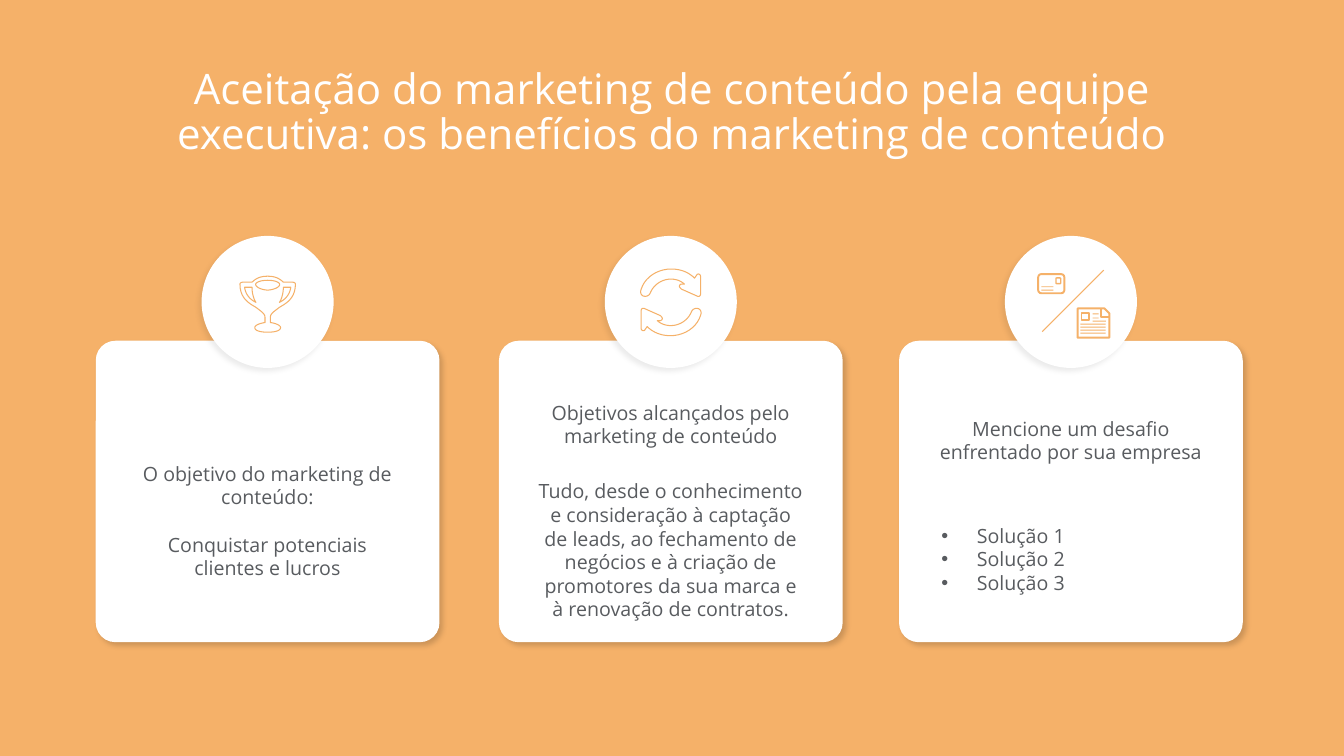
from lxml.etree import SubElement
from pptx import Presentation
from pptx.dml.color import RGBColor
from pptx.enum.shapes import MSO_CONNECTOR, MSO_SHAPE
from pptx.enum.text import MSO_ANCHOR, MSO_AUTO_SIZE, PP_ALIGN
from pptx.oxml.ns import qn
from pptx.util import Pt

ORANGE = RGBColor(0xF5, 0xB1, 0x69)
WHITE = RGBColor(0xFF, 0xFF, 0xFF)
GRAY = RGBColor(0x58, 0x5B, 0x5F)
FONT = "Open Sans"
FINE = 100

CARDS = [68.4, 356.4, 642.2]
CARD_TOP, CARD_WIDE, CARD_HIGH = 243.4, 245.5, 215.3
DISC_TOP, DISC_SIZE = 168.5, 94.3

CUP = [(0, 0), (6.1, 0, 9, 2.2, 11.2, 4.3), (17.8, 4.3),
       (19, 4.3, 19.8, 4.9, 19.8, 5.8), (19.8, 15.8, 13.3, 19.4, 8.3, 22.3),
       (4.7, 25.2, 1.9, 26.6, 1.9, 29.5), (1.9, 33.1),
       (6.6, 33.8, 9.2, 35.3, 9.2, 36.7), (9.2, 38.9, 5.5, 40, 0, 40)]
RIM = [(0, 2.9), (6.3, 2.9, 8.6, 4.9, 8.6, 5.8), (8.6, 7.2, 6.3, 9.4, 0, 10)]
HANDLE = [(8.4, 18.7), (9.9, 16.6, 11.2, 12.2, 11.2, 7.9), (16.5, 7.9),
          (15.8, 13, 12.8, 16.6, 8.4, 18.7)]
ARROW = [(-18.4, -4.3), (-16.9, -4.3, -15.5, -5, -14.8, -6.5),
         (-12.6, -12.2, -6.8, -16.6, 0, -16.6), (4, -16.6, 7.6, -15.1, 9.7, -13),
         (7.6, -13), (6.8, -13, 6.1, -12.2, 6.1, -11.5),
         (6.1, -10.8, 6.8, -10.1, 7.6, -9.4), (19.1, -4.3),
         (20.2, -4, 21.2, -4.7, 21.2, -5.8), (21.2, -18.7),
         (21.2, -20.2, 18.9, -20.9, 18.4, -19.4), (16.9, -17.3),
         (12.6, -21.6, 6.8, -23.8, 0.4, -23.8),
         (-9.7, -23.8, -18.4, -18, -21.2, -9.4),
         (-22.3, -6.5, -20.9, -4.3, -18.4, -4.3)]


def trace(steps, parts=10):
    """Turn a start point, line ends and cubic curves into a list of points."""
    points = [steps[0]]
    for step in steps[1:]:
        if len(step) == 2:
            points.append(step)
            continue
        a, b, c, d = points[-1], step[:2], step[2:4], step[4:]
        for i in range(1, parts + 1):
            t = i / parts
            u = 1 - t
            points.append(tuple(
                u**3 * a[k] + 3 * u * u * t * b[k] + 3 * u * t * t * c[k] + t**3 * d[k]
                for k in (0, 1)))
    return points


def flip(points, down=1):
    """Mirror points across the vertical axis, and the other one if down is -1."""
    return [(-x, down * y) for x, y in points]


def paint(shape, fill=None, line=None, weight=0.75):
    """Set the fill and line of a shape and drop its shadow."""
    shape.shadow.inherit = False
    if fill is None:
        shape.fill.background()
    else:
        shape.fill.solid()
        shape.fill.fore_color.rgb = fill
    if line is None:
        shape.line.fill.background()
    else:
        shape.line.color.rgb = line
        shape.line.width = Pt(weight)


def draw(shapes, x, y, loops, weight=0.75, close=True):
    """Draw loops of points as one orange outline placed at x, y."""
    loops = [[(FINE * px, FINE * py) for px, py in loop] for loop in loops]
    pen = shapes.build_freeform(*loops[0][0], scale=Pt(1) / FINE)
    for i, loop in enumerate(loops):
        if i:
            pen.move_to(*loop[0])
        pen.add_line_segments(loop[1:], close=close)
    paint(pen.convert_to_shape(Pt(x), Pt(y)), line=ORANGE, weight=weight)


def block(shapes, kind, x, y, wide, high, **look):
    """Add a preset shape with the given look."""
    shape = shapes.add_shape(kind, Pt(x), Pt(y), Pt(wide), Pt(high))
    paint(shape, **look)
    return shape


def shade(shape, alpha, angle):
    """Give a shape a soft black shadow."""
    effects = shape.element.spPr.find(qn("a:effectLst"))
    outer = SubElement(effects, qn("a:outerShdw"), blurRad=str(Pt(4)), dist=str(Pt(3)),
                       dir=str(angle * 60000), algn="ctr", rotWithShape="0")
    color = SubElement(outer, qn("a:srgbClr"), val="000000")
    SubElement(color, qn("a:alpha"), val=str(alpha * 1000))


def place(shape, x, y, wide, high):
    """Move and size a shape."""
    shape.left, shape.top, shape.width, shape.height = Pt(x), Pt(y), Pt(wide), Pt(high)


def write(shape, lines, size=14, color=GRAY, align=PP_ALIGN.CENTER, gap=0, side=28.1, edge=2.9):
    """Fill a shape with formatted paragraphs set gap points apart."""
    frame = shape.text_frame
    frame.text = "\n".join(lines)
    frame.word_wrap = True
    frame.auto_size = MSO_AUTO_SIZE.NONE
    frame.vertical_anchor = MSO_ANCHOR.MIDDLE
    frame.margin_left = frame.margin_right = Pt(side)
    frame.margin_top = frame.margin_bottom = Pt(edge)
    for i, para in enumerate(frame.paragraphs):
        para.alignment = align
        para.space_before = Pt(gap if i else 0)
        for run in para.runs:
            run.font.name, run.font.size = FONT, Pt(size)
            run.font.color.rgb = color


def card(shapes, x):
    """Add a white card with a disc on its upper edge."""
    panel = block(shapes, MSO_SHAPE.ROUNDED_RECTANGLE, x, CARD_TOP, CARD_WIDE, CARD_HIGH,
                  fill=WHITE)
    panel.adjustments[0] = 0.065
    shade(panel, 17, 45)
    disc = block(shapes, MSO_SHAPE.OVAL, x + (CARD_WIDE - DISC_SIZE) / 2, DISC_TOP,
                 DISC_SIZE, DISC_SIZE, fill=WHITE)
    shade(disc, 7, 135)


def trophy(shapes):
    """Draw the trophy from its right half."""
    cup, rim, handle = trace(CUP), trace(RIM), trace(HANDLE)
    loops = [half + flip(half)[::-1] for half in (cup, rim)]
    draw(shapes, 191.2, 197.3, loops + [handle, flip(handle)])


def cycle(shapes):
    """Draw two arrows that chase each other."""
    arrow = trace(ARROW)
    for loop in (arrow, flip(arrow, -1)):
        draw(shapes, 479.2, 216, [loop])


def media(shapes):
    """Draw a mail card and a news sheet split by a slanted line."""
    frames = [(MSO_SHAPE.ROUNDED_RECTANGLE, 741.6, 195.8, 18.7, 13.7, 1.4),
              (MSO_SHAPE.ROUNDED_RECTANGLE, 754.3, 198.5, 3.4, 4.1, 1),
              (MSO_SHAPE.SNIP_1_RECTANGLE, 769.7, 220.3, 22.7, 20.9, 1.4),
              (MSO_SHAPE.RECTANGLE, 772.5, 223.9, 5.7, 5, 1.4)]
    for kind, x, y, wide, high, weight in frames:
        block(shapes, kind, x, y, wide, high, line=ORANGE, weight=weight)
    bars = [(743.8, 204.5, 8.6), (743.8, 206.9, 8.6),
            (780.5, 223.9, 4.3), (780.5, 226.8, 4.3), (780.5, 229, 9.4)]
    bars += [(771.8, 231.1 + 2.16 * i, 18) for i in range(4)]
    for x, y, wide in bars:
        block(shapes, MSO_SHAPE.RECTANGLE, x, y, wide, 0.7, fill=ORANGE)
    draw(shapes, 786.6, 220.3, [[(0, 0), (0, 6.1), (5.8, 6.1)]], 1.2, close=False)
    slash = shapes.add_connector(MSO_CONNECTOR.STRAIGHT, Pt(788.4), Pt(193), Pt(744.5), Pt(236.9))
    slash.line.color.rgb = ORANGE
    slash.line.width = Pt(0.75)
    SubElement(slash.element.spPr, qn("a:effectLst"))


def points(body, lines):
    """Format the body as a bulleted list in front of the cards."""
    place(body, CARDS[2], 340.6, CARD_WIDE, 117.4)
    write(body, lines, align=PP_ALIGN.LEFT)
    for para in body.text_frame.paragraphs:
        props = para._p.get_or_add_pPr()
        props.set("marL", str(Pt(27.4)))
        props.set("indent", str(Pt(-25.2)))
        SubElement(props, qn("a:buFont"), typeface="Arial")
        SubElement(props, qn("a:buChar"), char="•")
    body.element.getparent().append(body.element)


def main():
    """Build the slide and save it."""
    deck = Presentation()
    deck.slide_width, deck.slide_height = Pt(960), Pt(540)
    slide = deck.slides.add_slide(deck.slide_layouts[1])
    slide.background.fill.solid()
    slide.background.fill.fore_color.rgb = ORANGE
    shapes = slide.shapes
    place(shapes.title, 66.2, 28.8, 828, 104.4)
    write(shapes.title, ["Aceitação do marketing de conteúdo pela equipe executiva: "
                         "os benefícios do marketing de conteúdo"],
          size=30, color=WHITE, side=7.2, edge=3.6)
    shapes.title.text_frame.paragraphs[0].line_spacing = 0.9
    for x in CARDS:
        card(shapes, x)
    trophy(shapes)
    cycle(shapes)
    media(shapes)
    notes = [
        (66.2, 298, 249.8, 147.6, ["O objetivo do marketing de conteúdo:",
                                   "Conquistar potenciais clientes e lucros"]),
        (CARDS[1], 273.6, CARD_WIDE, 59, ["Objetivos alcançados pelo marketing de conteúdo"]),
        (CARDS[1], 340.6, CARD_WIDE, 104.4, [
            "Tudo, desde o conhecimento e consideração à captação de leads, ao fechamento "
            "de negócios e à criação de promotores da sua marca e à renovação de contratos."]),
        (CARDS[2], 276.5, CARD_WIDE, 75.6, ["Mencione um desafio enfrentado por sua empresa"]),
    ]
    for x, y, wide, high, lines in notes:
        write(shapes.add_textbox(Pt(x), Pt(y), Pt(wide), Pt(high)), lines, gap=17)
    points(slide.placeholders[1], [f"Solução {i}" for i in (1, 2, 3)])
    deck.save("out.pptx")


if __name__ == "__main__":
    main()
